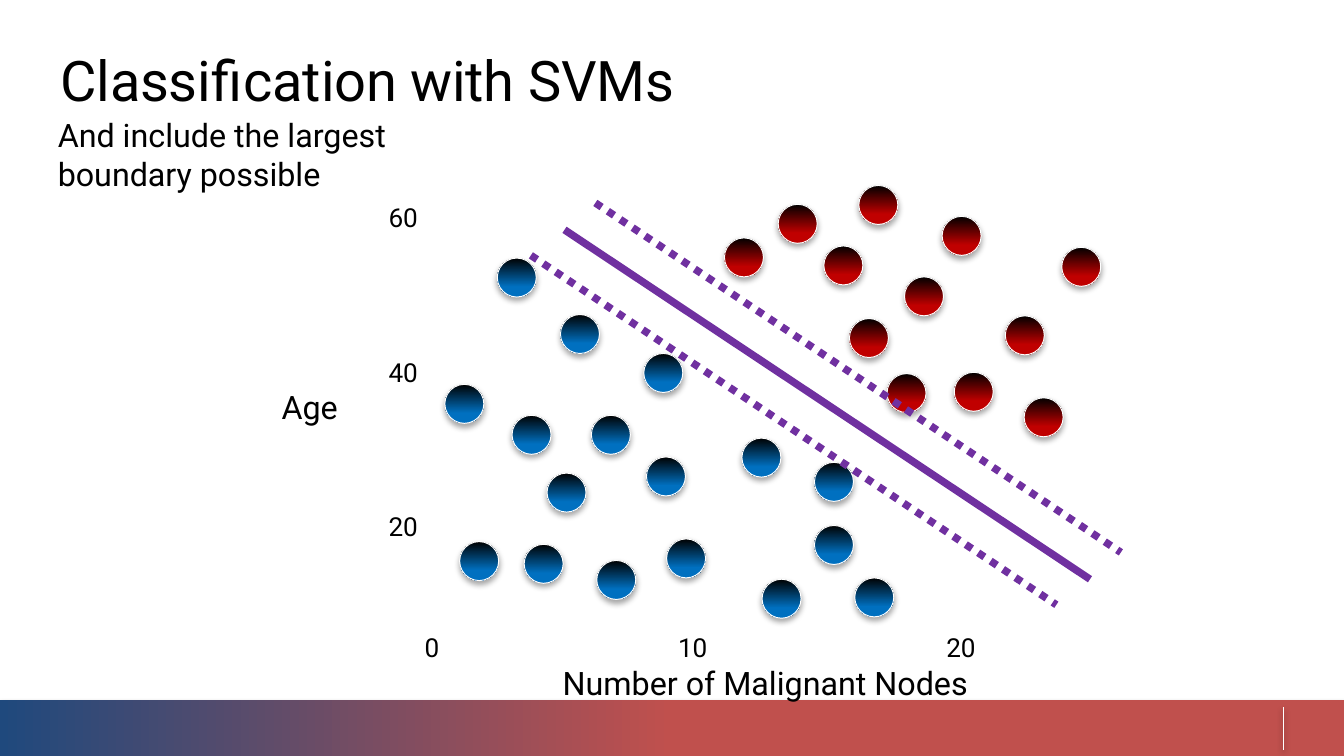
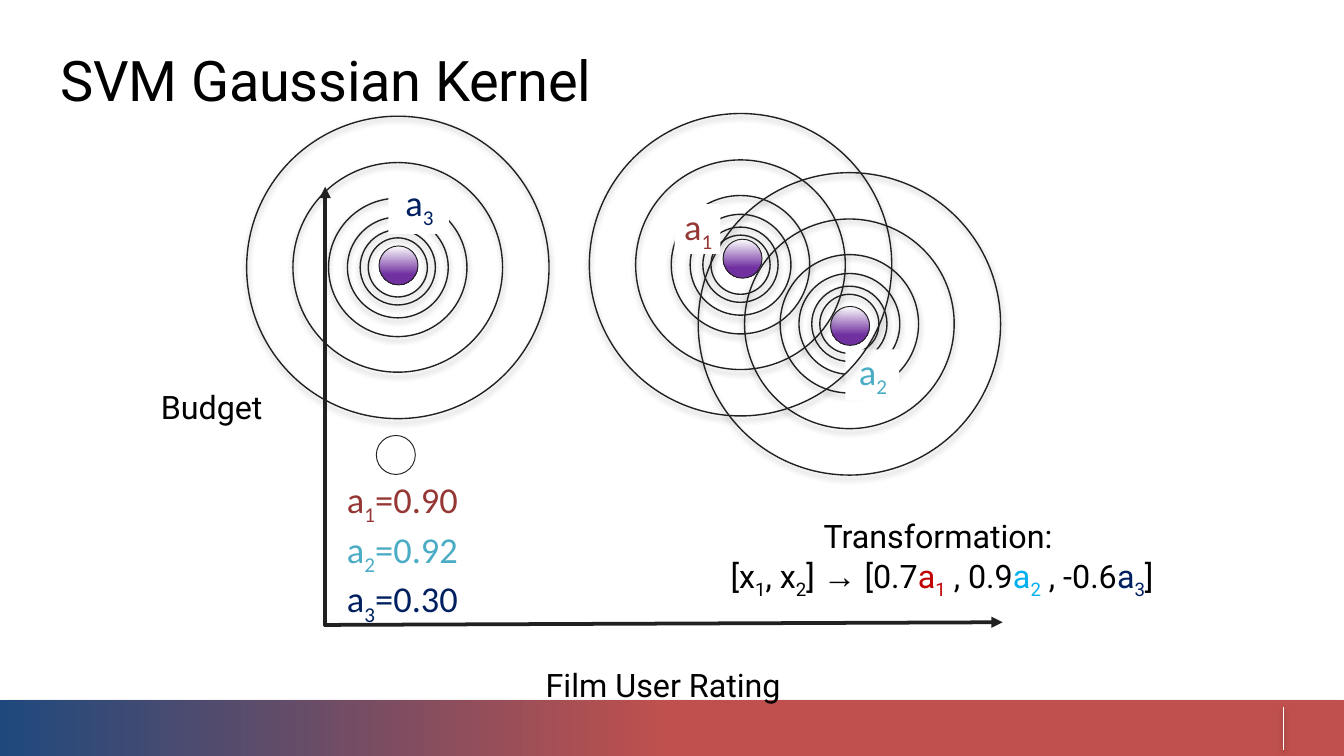
from lxml.etree import SubElement
from pptx import Presentation
from pptx.dml.color import RGBColor
from pptx.enum.dml import MSO_LINE
from pptx.enum.shapes import MSO_CONNECTOR, MSO_SHAPE
from pptx.enum.text import MSO_ANCHOR as ANCHOR, PP_ALIGN as ALIGN
from pptx.oxml.ns import qn
from pptx.util import Inches, Pt

COLORS = {
    "black": "000000", "white": "FFFFFF", "ink": "212121",
    "navy": "1F497D", "brick": "C0504D", "purple": "7030A0",
    "red": "C00000", "blue": "0070C0", "sky": "00B0F0",
    "a1": "953735", "a2": "4BACC6", "a3": "002060",
}
RGB = {name: RGBColor.from_string(value) for name, value in COLORS.items()}
BODY, TICK, LABEL, TITLE = 17.3, 14, 19.5, 30
LEADING = Pt(28.5)
BALL = 0.29
RINGS = [0.44, 0.56, 0.75, 1.03, 1.56, 2.25]


def paint(sp, fill=None, line=None, width=0.75, shadow=False):
    """Style a shape or connector; fill is (start, end, end position, angle)."""
    if fill:
        start, end, position, angle = fill
        sp.fill.gradient()
        sp.fill.gradient_angle = angle
        first, last = sp.fill.gradient_stops
        first.color.rgb, last.color.rgb = RGB[start], RGB[end]
        first.position, last.position = 0, position
    if line:
        sp.line.color.rgb = RGB[line]
        sp.line.width = Pt(width)
    else:
        sp.line.fill.background()
    effects = SubElement(sp._element.spPr, qn("a:effectLst"))
    if shadow:
        outer = SubElement(effects, qn("a:outerShdw"), blurRad="40000", dist="23000",
                           dir="5400000", rotWithShape="0")
        color = SubElement(outer, qn("a:srgbClr"), val=COLORS["black"])
        SubElement(color, qn("a:alpha"), val="35000")


def add_text(s, at, paragraphs, size=BODY, font="Roboto", align=ALIGN.CENTER,
             anchor=ANCHOR.TOP, leading=None):
    """Each paragraph is a list of (text, colour) runs; a leading "_" makes a subscript."""
    box = s.shapes.add_textbox(*map(Inches, at))
    tf = box.text_frame
    tf.word_wrap = True
    tf.vertical_anchor = anchor
    tf.margin_left = tf.margin_right = tf.margin_top = tf.margin_bottom = 0
    for i, runs in enumerate(paragraphs):
        p = tf.add_paragraph() if i else tf.paragraphs[0]
        p.alignment = align
        p._p.get_or_add_pPr().set("marL", str(Inches(0.01)))
        if leading:
            p.line_spacing = leading
        for text, color in runs:
            r = p.add_run()
            r.text = text.lstrip("_")
            r.font.size = Pt(size)
            r.font.name = font
            r.font.color.rgb = RGB[color]
            if text.startswith("_"):
                r._r.get_or_add_rPr().set("baseline", "-25000")
    return box


prs = Presentation()
prs.slide_width = Inches(10)
prs.slide_height = prs.slide_width * 9 // 16

# Band, divider and title on both slides
slides = []
for title in ["Classification with SVMs", "SVM Gaussian Kernel"]:
    s = prs.slides.add_slide(prs.slide_layouts[6])
    band = s.shapes.add_shape(MSO_SHAPE.RECTANGLE, 0, Inches(5.21), Inches(10), Inches(0.42))
    paint(band, ("navy", "brick", 0.5, 0), shadow=True)
    divider = s.shapes.add_connector(MSO_CONNECTOR.STRAIGHT, Inches(9.55), Inches(5.26),
                                     Inches(9.55), Inches(5.58))
    paint(divider, line="white", shadow=True)
    box = add_text(s, (0.44, 0.34, 9.23, 0.5), [[(title, "black")]], TITLE, align=ALIGN.LEFT)
    box.text_frame.paragraphs[0].runs[0]._r.get_or_add_rPr().set("spc", "-10")
    slides.append(s)

# Slide 1: scatter with the widest margin
s = slides[0]
add_text(s, (0.42, 0.86, 3.28, 0.57), [[("And include the largest boundary possible", "black")]],
         align=ALIGN.LEFT, anchor=ANCHOR.MIDDLE)
add_text(s, (3.88, 4.83, 3.62, 0.39), [[("Number of Malignant Nodes", "black")]], leading=LEADING)
add_text(s, (1.92, 2.77, 0.76, 0.39), [[("Age", "black")]], leading=LEADING)
for i, age in enumerate(["60", "40", "20"]):
    add_text(s, (2.86, 1.14 + 1.15 * i, 0.25, 0.79), [[(age, "black")]], TICK,
             align=ALIGN.RIGHT, anchor=ANCHOR.MIDDLE, leading=LEADING)
for nodes, left, width in [("0", 3.11, 0.2), ("10", 5, 0.3), ("20", 6.99, 0.31)]:
    add_text(s, (left, 4.54, width, 0.39), [[(nodes, "black")]], TICK,
             anchor=ANCHOR.MIDDLE, leading=LEADING)

patients = {
    "red": [(5.39, 1.77), (5.79, 1.52), (6.13, 1.83), (6.32, 2.37), (6.6, 2.78), (6.73, 2.06),
            (6.39, 1.38), (7.01, 1.61), (7.9, 1.84), (7.48, 2.35), (7.1, 2.77), (7.62, 2.96)],
    "blue": [(4.81, 3.4), (4.4, 3.09), (4.79, 2.63), (5.52, 3.26), (6.06, 3.44), (6.06, 3.91),
             (5.67, 4.31), (6.36, 4.3), (4.96, 4.01), (4.44, 4.17), (3.9, 4.05), (3.42, 4.03),
             (4.07, 3.52), (3.81, 3.09), (4.17, 2.34), (3.31, 2.86), (3.7, 1.92)],
}
for color, spots in patients.items():
    for x, y in spots:
        dot = s.shapes.add_shape(MSO_SHAPE.OVAL, *map(Inches, (x, y, BALL, BALL)))
        paint(dot, ("black", color, 0.74, 270), "white", 0.5, shadow=True)

for x, y, dash in [(4.2, 1.71, None), (4.43, 1.51, MSO_LINE.ROUND_DOT),
                   (3.95, 1.9, MSO_LINE.ROUND_DOT)]:
    boundary = s.shapes.add_connector(MSO_CONNECTOR.STRAIGHT,
                                      *map(Inches, (x, y, x + 3.91, y + 2.6)))
    paint(boundary, line="purple", width=4)
    boundary.line.dash_style = dash

# Slide 2: landmarks with Gaussian rings
s = slides[1]
landmarks = [
    ("3", (2.96, 1.99), (2.82, 1.83), (2.89, 1.34, 0.45, 0.4)),
    ("2", (6.32, 2.41), (6.18, 2.28), (6.29, 2.6, 0.4, 0.38)),
    ("1", (5.51, 1.97), (5.38, 1.78), (5.02, 1.52, 0.34, 0.37)),
]
for number, (cx, cy), (x, y), label_at in landmarks:
    group = s.shapes.add_group_shape()
    for d in RINGS:
        ring = group.shapes.add_shape(MSO_SHAPE.OVAL,
                                      *map(Inches, (cx - d / 2, cy - d / 2, d, d)))
        ring.fill.background()
        paint(ring, line="ink", shadow=True)
    ball = s.shapes.add_shape(MSO_SHAPE.OVAL, *map(Inches, (x, y, BALL, BALL)))
    paint(ball, ("white", "purple", 0.73, 270), "ink", 0.5)
    color = "a" + number
    label = add_text(s, label_at, [[("a", color), ("_" + number, color)]], LABEL, "Calibri")
    label.fill.solid()
    label.fill.fore_color.rgb = RGB["white"]

for ends in [(2.42, 4.66, 2.42, 1.39), (2.41, 4.65, 7.46, 4.63)]:
    axis = s.shapes.add_connector(MSO_CONNECTOR.STRAIGHT, *map(Inches, ends))
    paint(axis, line="ink", width=2)
    SubElement(axis.line._get_or_add_ln(), qn("a:tailEnd"), type="triangle")
add_text(s, (3.12, 4.84, 3.62, 0.39), [[("Film User Rating", "black")]], leading=LEADING)
add_text(s, (1.16, 2.77, 0.82, 0.79), [[("Budget", "black")]], leading=LEADING)

new_point = s.shapes.add_shape(MSO_SHAPE.OVAL, *map(Inches, (2.8, 3.24, BALL, BALL)))
new_point.fill.solid()
new_point.fill.fore_color.rgb = RGB["white"]
paint(new_point, line="ink", width=0.5)
similarities = [("1", "0.90"), ("2", "0.92"), ("3", "0.30")]
add_text(s, (2.49, 3.55, 1, 1.11),
         [[("a", "a" + n), ("_" + n, "a" + n), ("=" + value, "a" + n)]
          for n, value in similarities], LABEL, "Calibri")

formula = [("[x", "black"), ("_1", "black"), (", x", "black"), ("_2", "black"),
           ("] ", "black"), ("→", "black"), (" [0.7", "black"), ("a", "red"), ("_1", "red"),
           (" , 0.9", "black"), ("a", "sky"), ("_2", "sky"), (" , -0.6", "black"),
           ("a", "a3"), ("_3", "a3"), ("]", "black")]
box = add_text(s, (5.27, 3.68, 3.47, 0.95), [[("Transformation: ", "black")], formula],
               anchor=ANCHOR.MIDDLE)
arrow = box.text_frame.paragraphs[1].runs[5]
arrow.font.name, arrow.font.size = "Arial", Pt(18)

prs.save("out.pptx")
